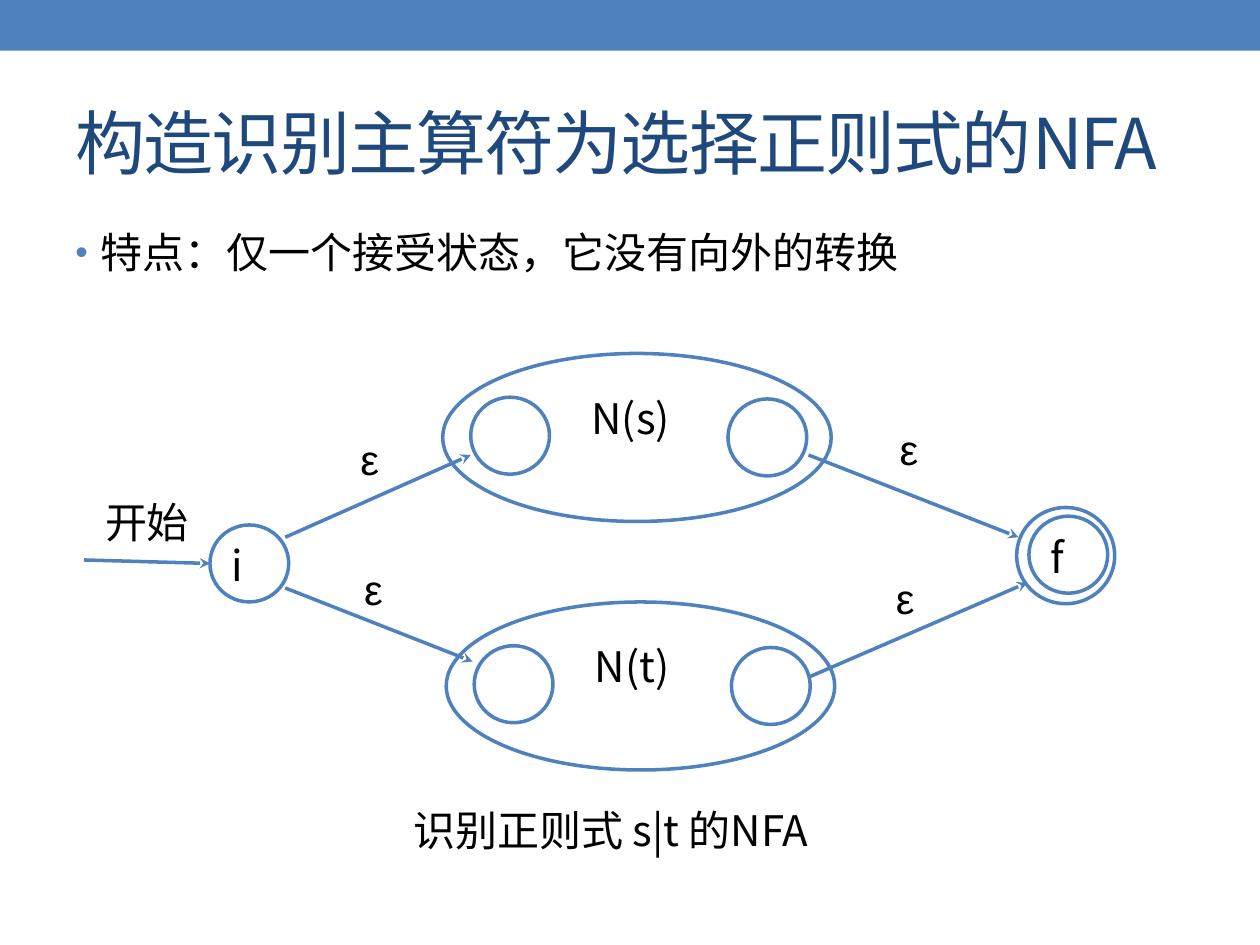
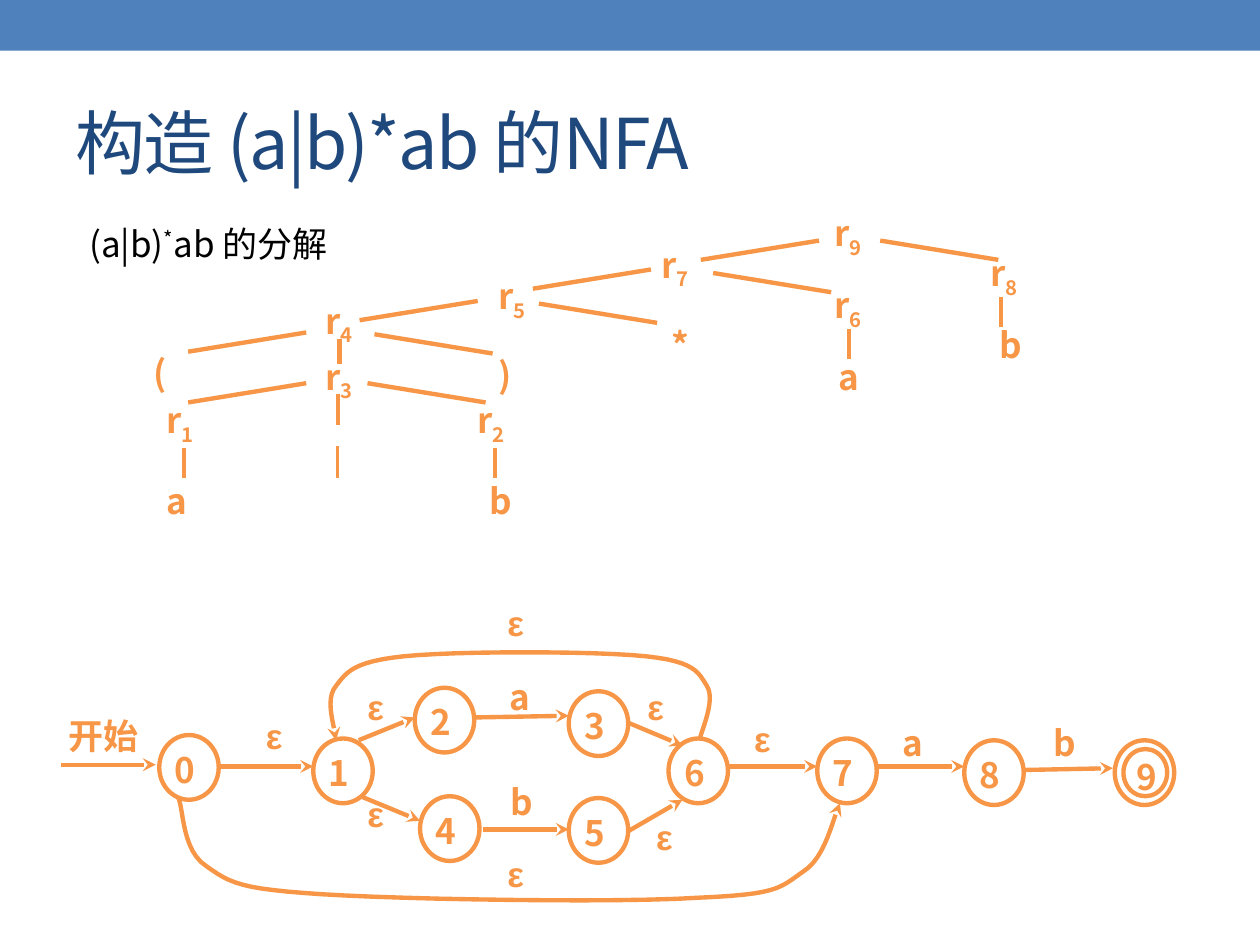
import lxml.etree
import pptx
import pptx.dml.color
import pptx.enum.shapes
import pptx.enum.text
import pptx.oxml.ns
import pptx.util

Pt = pptx.util.Pt
qn = pptx.oxml.ns.qn
BLUE = pptx.dml.color.RGBColor(0x4F, 0x81, 0xBD)
NAVY = pptx.dml.color.RGBColor(0x1F, 0x49, 0x7D)
ORANGE = pptx.dml.color.RGBColor(0xF7, 0x96, 0x46)
BLACK = pptx.dml.color.RGBColor(0, 0, 0)
FONT = "Noto Sans CJK SC"
GREEK_FONT = "Arial"
OVAL = pptx.enum.shapes.MSO_SHAPE.OVAL
ALIGN = pptx.enum.text.PP_ALIGN

# Choice automaton: all places and sizes are points
CHOICE_TITLE = "构造识别主算符为选择正则式的NFA"
CHOICE_POINT = "特点：仅一个接受状态，它没有向外的转换"
CHOICE_CAPTION = "识别正则式 s|t 的NFA"
CHOICE_STATE = (45, 44)
SUBMACHINES = [("N(s)", 253, 202), ("N(t)", 255, 344)]
CHOICE_ARROWS = [
    (48, 320, 120, 322), (163, 307, 269, 260), (163, 336, 270, 378),
    (462, 387, 587, 333), (462, 260, 582, 307),
]
CHOICE_EPSILONS = [(202, 246), (204, 320), (510, 240), (508, 325)]

# Parse tree of the expression
TREE_TITLE = "构造 (a|b)*ab 的NFA"
TREE_HEADING = [("(a|b)", 0), ("*", 30), ("ab 的分解", 0)]
TREE_NODES = [
    ("r9", 473, 120), ("r7", 374, 138), ("r8", 562, 143), ("r5", 281, 156),
    ("r6", 473, 161), ("r4", 182, 170), ("r3", 182, 202), ("r1", 91, 227),
    ("r2", 269, 227), ("*", 380, 184), ("(", 84, 200), (")", 281, 201),
    ("a", 91, 273), ("b", 276, 273), ("a", 475, 202), ("b", 567, 184),
]
BRANCH_WIDTH, BRANCH_DROP = 67.5, 11
# Each parent: where its left and right branches begin
BRANCHES = [
    ((468, 137.5), (503, 137.5)), ((372, 154), (407.5, 156)),
    ((273, 172), (308, 173.5)), ((175, 190), (214, 191)),
    ((175, 219), (210, 219)),
]
STEMS = [
    (194, 194, 14), (572, 170, 17), (485, 188, 17), (193, 225, 18),
    (105, 256, 17), (283, 256, 17),
]
BAR_SYMBOL = (193, 255, 193, 273)

# Automaton for the whole expression
STATE_SIZE = (34, 37)
STATES = [
    ("0", 91, 420), ("1", 179, 422), ("2", 237, 393), ("3", 325, 395),
    ("4", 240, 455), ("5", 325, 456), ("6", 382, 422), ("7", 467, 422),
    ("8", 551, 423),
]
TRANSITIONS = [
    (35, 437, 89, 437), (125, 438, 179, 438), (205, 423, 237, 410),
    (206, 455, 240, 469), (271, 410, 325, 409), (276, 474, 325, 474),
    (359, 413, 390, 426), (359, 475, 390, 457), (416, 438, 467, 438),
    (501, 438, 551, 438), (585, 440, 636, 439),
]
TRANSITION_LABELS = [
    ("ε", 148, 406), ("ε", 206, 390), ("ε", 206, 451), ("a", 287, 384),
    ("b", 288, 444), ("ε", 366, 390), ("ε", 371, 464), ("ε", 427, 408),
    ("a", 512, 410), ("b", 598, 410), ("ε", 286, 485), ("ε", 286, 342),
]
# Each curve: start point, then cubic pieces (two controls and an end)
SKIP_CURVE = [
    (102, 456), (105, 463), (104, 486), (118, 495),
    (132, 505), (138, 508), (184, 511), (231, 514), (353, 516), (399, 513),
    (444, 511), (445, 508), (459, 498), (472, 490), (476, 467), (480, 459),
]
REPEAT_CURVE = [
    (400, 422), (401, 417), (409, 400), (404, 392),
    (399, 384), (397, 378), (369, 375), (340, 372), (260, 372), (231, 375),
    (202, 378), (198, 384), (192, 392), (185, 400), (192, 417), (192, 423),
]
CURVE_STEPS = 12

# Insets: left, top, right, bottom
PLAIN_INSETS = (7.2, 3.6, 7.2, 3.6)
LABEL_INSETS = (4, 2, 4, 2)
NODE_INSETS = (4, 1, 4, 1)
NAME_INSETS = (6, 2, 7, 4)
STATE_INSETS = (4, 2, 1, 4)


def write(frame, runs, size, color, insets=PLAIN_INSETS, bold=False, align=ALIGN.LEFT):
    """Fill a text frame with runs given as (text, baseline percent)."""
    frame.word_wrap = True
    frame.auto_size = pptx.enum.text.MSO_AUTO_SIZE.NONE
    frame.vertical_anchor = pptx.enum.text.MSO_ANCHOR.TOP
    frame.margin_left, frame.margin_top, frame.margin_right, frame.margin_bottom = map(Pt, insets)
    paragraph = frame.paragraphs[0]
    paragraph.alignment = align
    for text, baseline in runs:
        run = paragraph.add_run()
        run.text = text
        run.font.size = Pt(size)
        run.font.bold = bold
        run.font.color.rgb = color
        run.font.name = GREEK_FONT if text == "ε" else FONT
        properties = run.font._element
        east_asian = lxml.etree.Element(qn("a:ea"), typeface=run.font.name)
        properties.find(qn("a:latin")).addnext(east_asian)
        if baseline:
            properties.set("baseline", str(baseline * 1000))
    return paragraph


def add_text(slide, runs, box, size, color, **style):
    shape = slide.shapes.add_textbox(*map(Pt, box))
    runs = [(runs, 0)] if isinstance(runs, str) else runs
    return write(shape.text_frame, runs, size, color, **style)


def set_line(shape, color, width, arrow):
    shape.line.color.rgb = color
    shape.line.width = Pt(width)
    properties = shape.element.spPr
    if arrow:
        lxml.etree.SubElement(properties.find(qn("a:ln")), qn("a:tailEnd"), type="stealth")


def add_line(slide, ends, color, width, arrow=False):
    straight = pptx.enum.shapes.MSO_CONNECTOR.STRAIGHT
    connector = slide.shapes.add_connector(straight, *map(Pt, ends))
    set_line(connector, color, width, arrow)
    lxml.etree.SubElement(connector.element.spPr, qn("a:effectLst"))


def add_oval(slide, box, color, width, text="", size=24, text_color=BLACK, **style):
    shape = slide.shapes.add_shape(OVAL, *map(Pt, box))
    shape.shadow.inherit = False
    shape.fill.background()
    set_line(shape, color, width, False)
    if text:
        write(shape.text_frame, [(text, 0)], size, text_color, **style)


def add_curve(slide, points, color, width):
    path_points = []
    for first in range(0, len(points) - 1, 3):
        piece = points[first:first + 4]
        for step in range(1, CURVE_STEPS + 1):
            t = step / CURVE_STEPS
            weights = ((1 - t) ** 3, 3 * t * (1 - t) ** 2, 3 * t * t * (1 - t), t ** 3)
            path_points.append(tuple(
                Pt(sum(weight * point[axis] for weight, point in zip(weights, piece)))
                for axis in (0, 1)))
    builder = slide.shapes.build_freeform(*map(Pt, points[0]))
    builder.add_line_segments(path_points, close=False)
    shape = builder.convert_to_shape()
    shape.shadow.inherit = False
    shape.fill.background()
    set_line(shape, color, width, True)


def add_titled_slide(presentation, title):
    """Start a slide with the shared top band and title style."""
    slide = presentation.slides.add_slide(presentation.slide_layouts[5])
    band = slide.shapes.add_shape(
        pptx.enum.shapes.MSO_SHAPE.RECTANGLE, 0, 0, presentation.slide_width, Pt(29))
    band.shadow.inherit = False
    band.fill.solid()
    band.fill.fore_color.rgb = BLUE
    band.line.fill.background()
    placeholder = slide.shapes.title
    placeholder.left, placeholder.top, placeholder.width, placeholder.height = map(
        Pt, (36, 42, 648, 78))
    paragraph = write(placeholder.text_frame, [(title, 0)], 40, NAVY)
    placeholder.text_frame.vertical_anchor = pptx.enum.text.MSO_ANCHOR.MIDDLE
    paragraph.runs[0].font._element.set("spc", "-100")
    return slide


def build_choice_slide(presentation):
    slide = add_titled_slide(presentation, CHOICE_TITLE)

    # Bulleted statement
    paragraph = add_text(slide, CHOICE_POINT, (36, 126, 648, 40), 24, BLACK)
    properties = paragraph._p.get_or_add_pPr()
    properties.set("marL", str(Pt(14.4)))
    properties.set("indent", str(-Pt(14.4)))
    bullet_color = lxml.etree.SubElement(properties, qn("a:buClr"))
    lxml.etree.SubElement(bullet_color, qn("a:srgbClr"), val=str(BLUE))
    lxml.etree.SubElement(properties, qn("a:buSzPct"), val="85000")
    lxml.etree.SubElement(properties, qn("a:buFont"), typeface="Arial")
    lxml.etree.SubElement(properties, qn("a:buChar"), char="•")

    # Start and accepting states
    add_oval(slide, (120, 300, *CHOICE_STATE), BLUE, 2, "i", insets=(6, 2, 1, 4))
    add_oval(slide, (581, 290, 56, 55), BLUE, 2)
    add_oval(slide, (588, 295, *CHOICE_STATE), BLUE, 2, "f", insets=(6, 2, 1, 1))

    # The two inner machines
    for name, left, top in SUBMACHINES:
        add_oval(slide, (left, top, 222, 96), BLUE, 2)
        add_oval(slide, (left + 16, top + 25, *CHOICE_STATE), BLUE, 2)
        add_oval(slide, (left + 163, top + 26, *CHOICE_STATE), BLUE, 2)
        add_text(slide, name, (left + 79, top + 20, 77, 53), 24, BLACK,
                 insets=NAME_INSETS, align=ALIGN.JUSTIFY)

    # Arrows and their labels
    for ends in CHOICE_ARROWS:
        add_line(slide, ends, BLUE, 2, arrow=True)
    labels = [("开始", 56, 282, 73, 42)]
    labels += [("ε", left, top, 37, 36) for left, top in CHOICE_EPSILONS]
    for text, *box in labels:
        add_text(slide, text, box, 24, BLACK, insets=LABEL_INSETS, align=ALIGN.JUSTIFY)
    add_text(slide, CHOICE_CAPTION, (229, 456, 254, 36), 24, BLACK)


def build_expression_slide(presentation):
    slide = add_titled_slide(presentation, TREE_TITLE)
    add_text(slide, TREE_HEADING, (45, 125, 176, 36), 20, BLACK, insets=NAME_INSETS)

    # Parse tree
    for text, left, top in TREE_NODES:
        runs = [(text[0], 0)] + [(index, -25) for index in text[1:]]
        add_text(slide, runs, (left, top, 39, 20), 20, ORANGE,
                 insets=NODE_INSETS, bold=True, align=ALIGN.JUSTIFY)
    for starts in BRANCHES:
        for (x, y), direction in zip(starts, (-1, 1)):
            ends = (x, y, x + direction * BRANCH_WIDTH, y + BRANCH_DROP)
            add_line(slide, ends, ORANGE, 2.5)
    for x, top, length in STEMS:
        add_line(slide, (x, top, x, top + length), ORANGE, 2.5)
    add_line(slide, BAR_SYMBOL, ORANGE, 2)

    # States
    for name, left, top in STATES:
        add_oval(slide, (left, top, *STATE_SIZE), ORANGE, 2.5, name, 20, ORANGE,
                 insets=STATE_INSETS, bold=True)
    add_oval(slide, (637, 423, *STATE_SIZE), ORANGE, 2.5)
    add_oval(slide, (642, 428, 25, 27), ORANGE, 2.5, "9", 20, ORANGE,
             insets=(4, 0, 1, 0), bold=True, align=ALIGN.JUSTIFY)

    # Transitions and their labels
    for ends in TRANSITIONS:
        add_line(slide, ends, ORANGE, 2.5, arrow=True)
    for points in (SKIP_CURVE, REPEAT_CURVE):
        add_curve(slide, points, ORANGE, 2.5)
    labels = [("开始", 35, 406, 55, 35)]
    labels += [(text, left, top, 30, 30) for text, left, top in TRANSITION_LABELS]
    for text, *box in labels:
        add_text(slide, text, box, 20, ORANGE, insets=LABEL_INSETS, bold=True,
                 align=ALIGN.JUSTIFY)


def main():
    presentation = pptx.Presentation()
    presentation.slide_width = Pt(720)
    presentation.slide_height = Pt(540)
    build_choice_slide(presentation)
    build_expression_slide(presentation)
    presentation.save("out.pptx")


if __name__ == "__main__":
    main()
